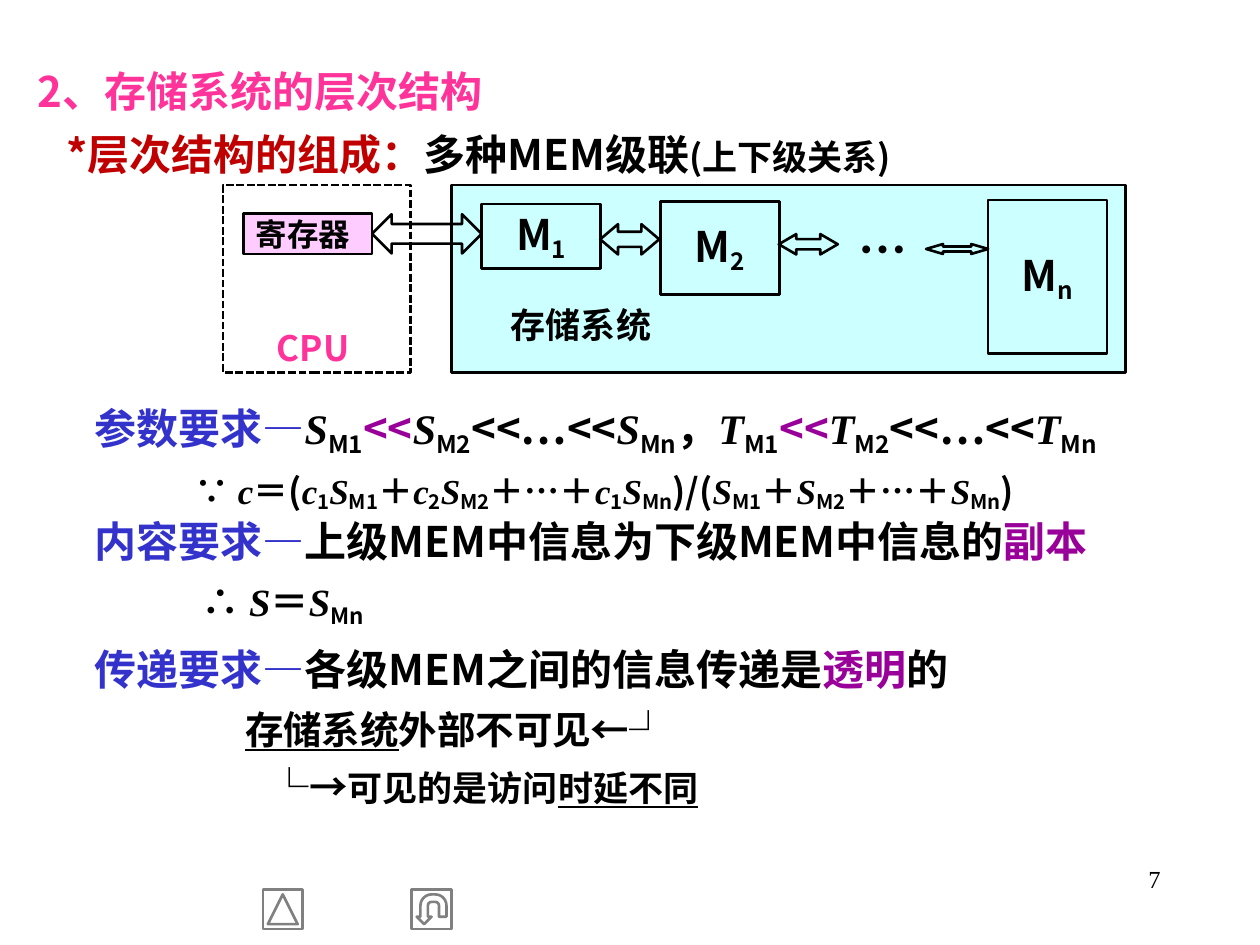
from lxml import etree
from pptx import Presentation
from pptx import util as u
from pptx.dml.color import RGBColor
from pptx.enum import dml, shapes, text
from pptx.oxml import ns

Cm, Pt = u.Cm, u.Pt
SANS, SERIF = "Noto Sans CJK SC", "Times New Roman"
COLORS = {
    "black": "000000", "pink": "FF3399", "red": "C00000", "blue": "3333CC",
    "purple": "990099", "cyan": "CCFFFF", "lilac": "FFCCFF", "gray": "808080",
}
MARGIN, WIDTH = 0.51, 24.41


def rgb(name):
    return RGBColor.from_string(COLORS[name])


def write(p, value, size=24, font=SANS, color="black", bold=True,
          italic=False, underline=False, base=0):
    r = p.add_run()
    r.text = value
    f = r.font
    f.size, f.name, f.bold = Pt(size), font, bold
    f.italic, f.underline = italic, underline
    f.color.rgb = rgb(color)
    rPr = r._r.get_or_add_rPr()
    if base:
        rPr.set("baseline", str(base * 1000))
    ea = etree.SubElement(rPr, ns.qn("a:ea"))
    ea.set("typeface", SANS)


def write_terms(p, terms, size, base):
    for term in terms:
        if isinstance(term, tuple):
            symbol, index = term
            write(p, symbol, size, SERIF, italic=True)
            if index:
                write(p, index, size, base=base)
        elif term == "<<":
            write(p, term, size, color="purple")
        else:
            write(p, term, size)


def text_box(s, x, y, w, h, inset=None, anchor=text.MSO_ANCHOR.TOP):
    tf = s.shapes.add_textbox(Cm(x), Cm(y), Cm(w), Cm(h)).text_frame
    tf.word_wrap = True
    tf.vertical_anchor = anchor
    if inset is not None:
        tf.margin_left = tf.margin_right = Cm(inset)
        tf.margin_top = tf.margin_bottom = Cm(inset / 2)
    return tf


def body_box(s, x, y, w, h, indents):
    tf = text_box(s, x, y, w, h)
    tf.auto_size = text.MSO_AUTO_SIZE.SHAPE_TO_FIT_TEXT
    for i, indent in enumerate(indents):
        p = tf.paragraphs[0] if i == 0 else tf.add_paragraph()
        p.line_spacing = 1.25
        pPr = p._p.get_or_add_pPr()
        pPr.set("marL", str(Cm(indent)))
        pPr.set("indent", "0")
    return tf.paragraphs


def add_shape(s, kind, x, y, w, h, fill=None, line="black"):
    sp = s.shapes.add_shape(kind, Cm(x), Cm(y), Cm(w), Cm(h))
    sp.shadow.inherit = False
    if fill:
        sp.fill.solid()
        sp.fill.fore_color.rgb = rgb(fill)
    else:
        sp.fill.background()
    sp.line.color.rgb = rgb(line)
    sp.line.width = Pt(1.5)
    return sp


def heading(s, x, y, w, h):
    title, topic = body_box(s, x, y, w, h, [0, 0.58])
    write(title, "2、存储系统的层次结构", color="pink")
    write(topic, "*层次结构的组成：", color="red")
    write(topic, "多种MEM级联")
    write(topic, "(上下级关系)", 20)


def hierarchy(s, x, y, h):
    rect = shapes.MSO_SHAPE.RECTANGLE
    storage = add_shape(s, rect, x + 4.6, y, 13.59, h, "cyan")
    tf = storage.text_frame
    tf.vertical_anchor = text.MSO_ANCHOR.BOTTOM
    tf.margin_left, tf.margin_bottom = Cm(1.2), Cm(0.55)
    tf.paragraphs[0].alignment = text.PP_ALIGN.LEFT
    write(tf.paragraphs[0], "存储系统", 20, SERIF)

    register = add_shape(s, rect, x + 0.41, y + 0.58, 2.59, 0.81, "lilac")
    tf = register.text_frame
    tf.vertical_anchor = text.MSO_ANCHOR.MIDDLE
    tf.paragraphs[0].alignment = text.PP_ALIGN.LEFT
    write(tf.paragraphs[0], "寄存器", 18)

    levels = [("1", 5.21, 0.38, 1.3), ("2", 8.81, 0.33, 1.88), ("n", 15.42, 0.3, 3.1)]
    for index, dx, dy, height in levels:
        tf = add_shape(s, rect, x + dx, y + dy, 2.4, height).text_frame
        tf.vertical_anchor = text.MSO_ANCHOR.MIDDLE
        p = tf.paragraphs[0]
        p.alignment = text.PP_ALIGN.CENTER
        write(p, "M")
        write(p, index, base=-20)

    cpu = add_shape(s, rect, x, y, h, h)
    cpu.line.dash_style = dml.MSO_LINE.SQUARE_DOT

    links = [(3, 0.59, 2.21, 0.79, 0.5, 0.5), (7.6, 0.79, 1.19, 0.61, 0.5, 0.59),
             (11.2, 0.99, 1.19, 0.41, 0.5, 0.86), (14.17, 1.19, 1.25, 0.2, 0.5, 1.7)]
    for dx, dy, width, height, shaft, head in links:
        arrow = add_shape(s, shapes.MSO_SHAPE.LEFT_RIGHT_ARROW, x + dx, y + dy, width, height)
        arrow.adjustments[0], arrow.adjustments[1] = shaft, head

    labels = [("CPU", 0.81, 2.79, 2.01, 20, "pink"), ("…", 12.6, 0.79, 1.4, 28, "black")]
    for value, dx, dy, width, size, color in labels:
        tf = text_box(s, x + dx, y + dy, width, 0.99, 0.05, text.MSO_ANCHOR.MIDDLE)
        tf.paragraphs[0].alignment = text.PP_ALIGN.CENTER
        write(tf.paragraphs[0], value, size, color=color)


def parameters(s, x, y, w, h):
    order, cost = body_box(s, x, y, w, h, [1.15, 3.17])
    write(order, "参数要求—", color="blue")
    for symbol, end in (("S", ["，"]), ("T", [])):
        chain = [(symbol, "M1"), "<<", (symbol, "M2"), "<<…<<", (symbol, "Mn")]
        write_terms(order, chain + end, 24, -20)
    write_terms(cost, [
        "∵ ", ("c", ""), "＝(", ("c", "1"), ("S", "M1"), "＋", ("c", "2"), ("S", "M2"),
        "＋…＋", ("c", "1"), ("S", "Mn"), ")/(", ("S", "M1"), "＋", ("S", "M2"),
        "＋…＋", ("S", "Mn"), ")"], 20, -16)


def contents(s, x, y, w, h):
    rule, result = body_box(s, x, y, w, h, [1.15, 3.31])
    write(rule, "内容要求—", color="blue")
    write(rule, "上级MEM中信息为下级MEM中信息的")
    write(rule, "副本", color="purple")
    write_terms(result, ["∴ ", ("S", ""), "＝", ("S", "Mn")], 22, -20)


def transfer(s, x, y, w, h):
    rule, hidden, visible = body_box(s, x, y, w, h, [1.15, 4.18, 4.7])
    write(rule, "传递要求—", color="blue")
    write(rule, "各级MEM之间的信息传递")
    write(rule, "是", font=SERIF)
    write(rule, "透明", color="purple")
    write(rule, "的")
    write(hidden, "存储系统", 22, underline=True)
    write(hidden, "外部不可见←", 22)
    write(hidden, "┘", 22, bold=False)
    write(visible, "└→", 22)
    write(visible, "可见的是访问", 20)
    write(visible, "时延不同", 20, underline=True)


def footer(s, x, y, w):
    buttons = [(shapes.MSO_SHAPE.ACTION_BUTTON_BACK_OR_PREVIOUS, 0, 90),
               (shapes.MSO_SHAPE.ACTION_BUTTON_RETURN, 3, 180)]
    for kind, dx, angle in buttons:
        add_shape(s, kind, x + dx, y + 0.63, 0.8, 0.8, line="gray").rotation = angle
    tf = text_box(s, x + w - 5.28, y, 5.28, 1.27)
    tf.paragraphs[0].alignment = text.PP_ALIGN.RIGHT
    write(tf.paragraphs[0], "7", 14, SERIF, bold=False)


def main():
    prs = Presentation()
    prs.slide_width, prs.slide_height = Cm(25.4), Cm(19.05)
    s = prs.slides.add_slide(prs.slide_layouts[6])
    heading(s, MARGIN, 0.94, WIDTH, 2.79)
    parameters(s, MARGIN, 7.72, WIDTH, 2.62)
    transfer(s, MARGIN, 12.6, WIDTH, 3.89)
    contents(s, MARGIN, 10.01, WIDTH, 2.72)
    hierarchy(s, 4.5, 3.73, 3.78)
    footer(s, 5.3, 17.3, 18.35)
    prs.save("out.pptx")


if __name__ == "__main__":
    main()
